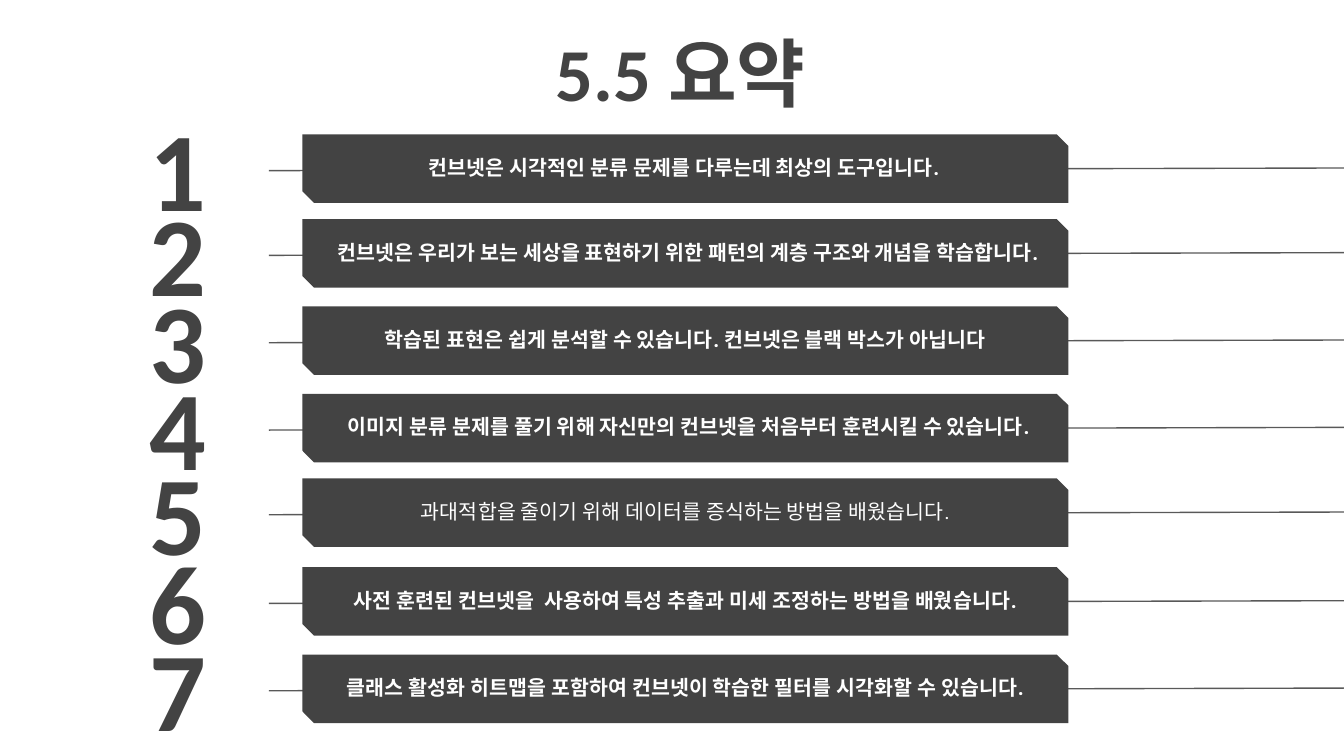
from lxml import etree
from pptx import Presentation
from pptx.dml.color import RGBColor
from pptx.enum.shapes import MSO_CONNECTOR, MSO_SHAPE
from pptx.enum.text import MSO_ANCHOR, MSO_AUTO_SIZE, PP_ALIGN
from pptx.oxml.ns import qn
from pptx.util import Inches, Pt

TOP, MIDDLE = MSO_ANCHOR.TOP, MSO_ANCHOR.MIDDLE
CENTER = PP_ALIGN.CENTER
FIXED = MSO_AUTO_SIZE.NONE
SNIP = MSO_SHAPE.SNIP_2_DIAG_RECTANGLE
STRAIGHT = MSO_CONNECTOR.STRAIGHT

DARK = RGBColor(0x43, 0x43, 0x43)
GRAY = RGBColor(0x59, 0x59, 0x59)
WHITE = RGBColor(0xFF, 0xFF, 0xFF)

TITLE = {"name": "Calibri", "size": Pt(40), "bold": True}
NUMBER = {"name": "Calibri", "size": Pt(60), "bold": True}
BOLD = {"name": "Roboto Condensed", "size": Pt(11), "bold": True}
PLAIN = {**BOLD, "bold": False}

# Top of the row, left and width of its text, the text and its font
ROWS = [
    (1.00, 2.24, 5.70, "컨브넷은 시각적인 분류 문제를 다루는데 최상의 도구입니다.", BOLD),
    (1.63, 2.24, 5.76, "컨브넷은 우리가 보는 세상을 표현하기 위한 패턴의 계층 구조와 개념을 학습합니다.", BOLD),
    (2.28, 2.25, 5.70, "학습된 표현은 쉽게 분석할 수 있습니다. 컨브넷은 블랙 박스가 아닙니다", BOLD),
    (2.93, 2.31, 5.63, "이미지 분류 분제를 풀기 위해 자신만의 컨브넷을 처음부터 훈련시킬 수 있습니다.", BOLD),
    (3.56, 2.25, 5.70, "과대적합을 줄이기 위해 데이터를 증식하는 방법을 배웠습니다.", PLAIN),
    (4.22, 2.25, 5.70, "사전 훈련된 컨브넷을  사용하여 특성 추출과 미세 조정하는 방법을 배웠습니다.", BOLD),
    (4.87, 2.25, 5.70, "클래스 활성화 히트맵을 포함하여 컨브넷이 학습한 필터를 시각화할 수 있습니다.", BOLD),
]
ROW_LEFT, ROW_WIDTH, ROW_HEIGHT = 0.94, 9.06, 0.51


def write(shape, text, font, color, anchor=MIDDLE):
    frame = shape.text_frame
    frame.text = text
    form = {"word_wrap": True, "auto_size": FIXED, "vertical_anchor": anchor}
    for side in ("left", "top", "right", "bottom"):
        form["margin_" + side] = Inches(0.1)
    for key, value in form.items():
        setattr(frame, key, value)
    para = frame.paragraphs[0]
    para.alignment = CENTER
    run = para.runs[0]
    for key, value in font.items():
        setattr(run.font, key, value)
    run.font.color.rgb = color
    props = run._r.get_or_add_rPr()
    for tag in ("a:ea", "a:cs"):
        etree.SubElement(props, qn(tag), typeface=font["name"])


def add_title(slide, left, top, width, height):
    title = slide.shapes.title
    title.left, title.top = Inches(left), Inches(top)
    title.width, title.height = Inches(width), Inches(height)
    write(title, " 5.5 요약", TITLE, DARK, TOP)


def add_text(slide, left, top, width, height, text, font, color):
    box = slide.shapes.add_textbox(
        Inches(left), Inches(top), Inches(width), Inches(height)
    )
    write(box, text, font, color)


def add_row(slide, left, top, width, height, number):
    """Place a number, a bar and the line that runs behind the bar."""
    shapes = slide.shapes
    add_text(slide, left, top + 0.01, 0.77, 0.46, str(number), NUMBER, DARK)

    line = shapes.add_connector(
        STRAIGHT,
        Inches(left + width), Inches(top + 0.25),
        Inches(left + 1.06), Inches(top + 0.27),
    )
    line.line.color.rgb = GRAY
    line.line.width = Pt(0.75)
    props = line._element.find(qn("p:spPr"))
    etree.SubElement(props, qn("a:effectLst"))

    bar = shapes.add_shape(
        SNIP, Inches(left + 1.31), Inches(top), Inches(5.7), Inches(height)
    )
    bar.adjustments[0], bar.adjustments[1] = 0, 0.17
    bar.shadow.inherit = False
    bar.fill.solid()
    bar.fill.fore_color.rgb = DARK
    bar.line.fill.background()


def main():
    deck = Presentation()
    deck.slide_width = Inches(10)
    deck.slide_height = deck.slide_width * 9 // 16
    slide = deck.slides.add_slide(deck.slide_layouts[5])
    add_title(slide, 2.15, 0.1, 5.7, 1.03)
    for number, (top, left, width, text, font) in enumerate(ROWS, 1):
        add_row(slide, ROW_LEFT, top, ROW_WIDTH, ROW_HEIGHT, number)
        add_text(slide, left, top + 0.06, width, 0.37, text, font, WHITE)
    deck.save("out.pptx")


if __name__ == "__main__":
    main()
